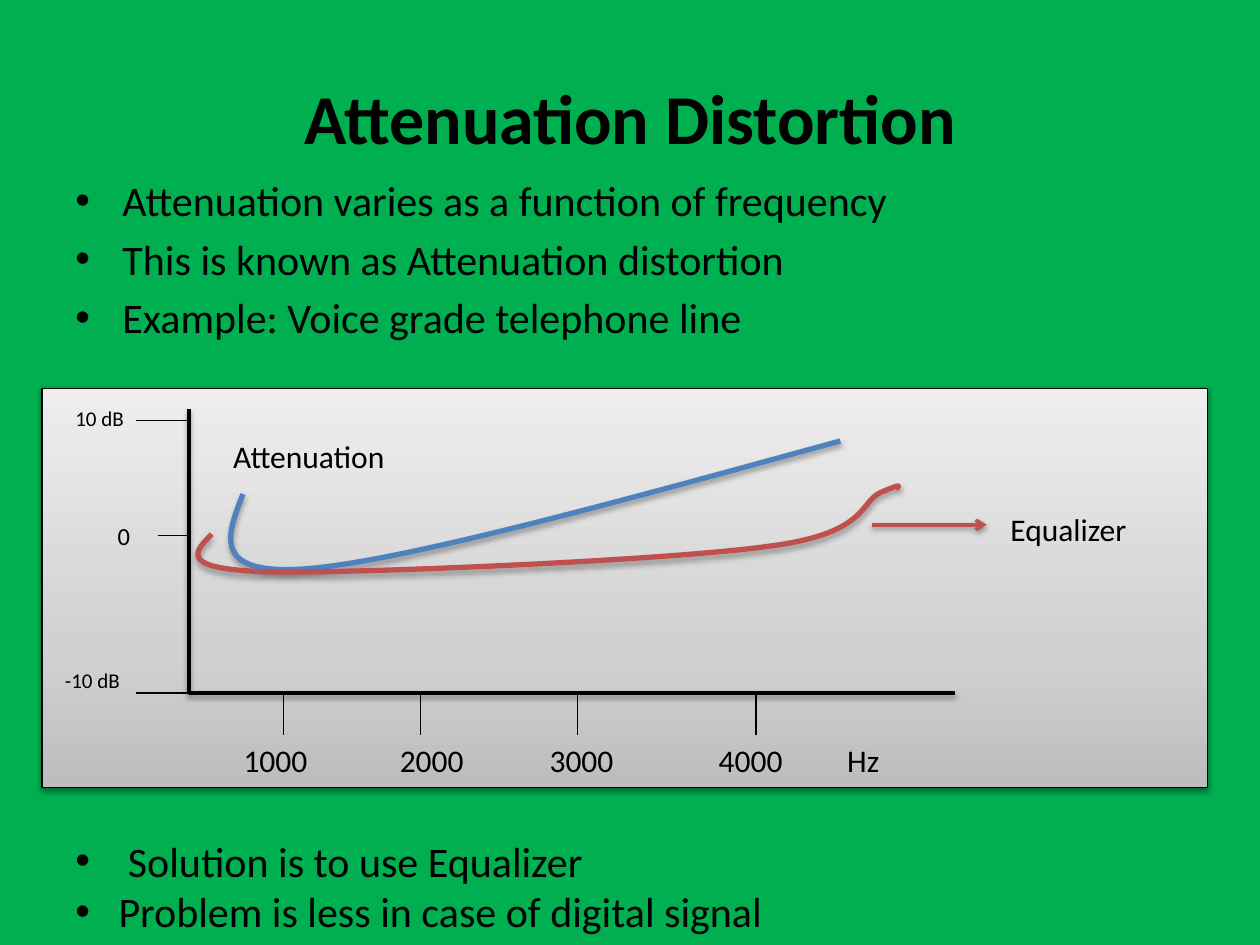
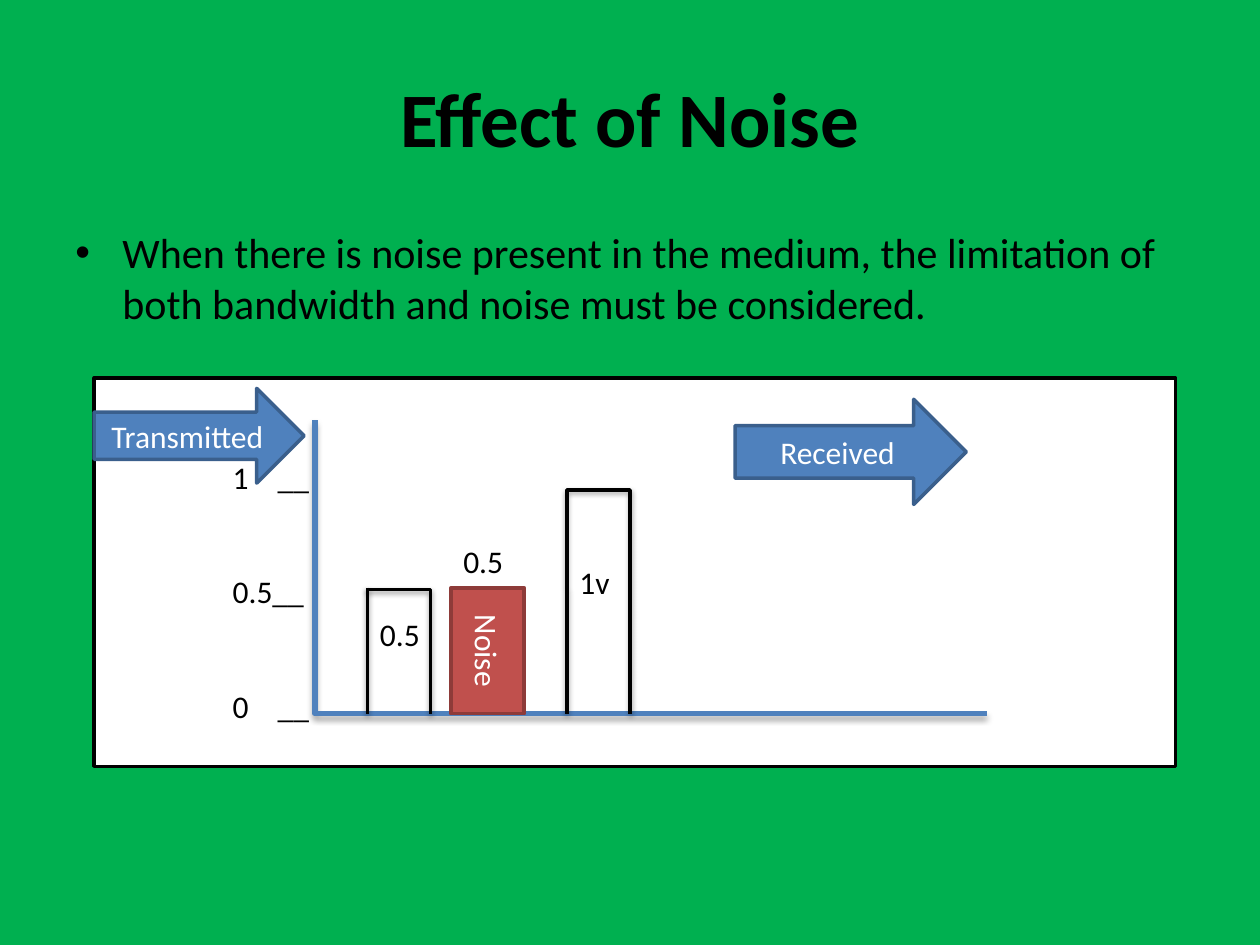
import pptx
import pptx.util
import pptx.dml.color
import pptx.enum.shapes
import pptx.enum.text
import pptx.oxml.ns
import lxml.etree

Cm, Pt = pptx.util.Cm, pptx.util.Pt
Kind = pptx.enum.shapes.MSO_SHAPE
Wire = pptx.enum.shapes.MSO_CONNECTOR
Anchor = pptx.enum.text.MSO_ANCHOR
Align = pptx.enum.text.PP_ALIGN
qn = pptx.oxml.ns.qn

FONT = "Calibri"
HUES = {
    "page": "00B050", "ink": "000000", "paper": "FFFFFF",
    "blue": "4F81BD", "navy": "3A5F8C", "red": "C0504D", "brick": "8E3B39",
    "dark": "BDBDBD", "mid": "D1D1D1", "light": "EEEEEE",
}


def rgb(hue):
    """Return the named colour."""
    return pptx.dml.color.RGBColor.from_string(HUES[hue])


def node(base, tag, **attrs):
    """Append a drawing element with the given attributes."""
    item = lxml.etree.SubElement(base, qn("a:" + tag))
    for key, value in attrs.items():
        item.set(key, str(value))
    return item


def effect(item, alpha=0, dist=0):
    """Replace the theme shadow with none, or with a soft one below."""
    props = item._element.spPr
    group = node(props, "effectLst")
    if alpha:
        shade = node(group, "outerShdw", blurRad=40000, dist=dist,
                     dir=5400000, rotWithShape=0)
        node(node(shade, "srgbClr", val=HUES["ink"]), "alpha", val=alpha * 1000)


def soft(item, width):
    """Give the shadow that goes with a line of this width."""
    effect(item, *((35, 23000) if width == 3 else (38, 20000)))


def stroke(item, hue, width):
    """Set line colour and width."""
    item.line.color.rgb = rgb(hue)
    item.line.width = Pt(width)


def write(para, text, size, hue="ink", bold=False):
    """Add one run to a paragraph."""
    run = para.add_run()
    run.text = text
    run.font.name = FONT
    run.font.size = Pt(size)
    run.font.bold = bold
    run.font.color.rgb = rgb(hue)


def tabs(para, stops):
    """Set left tab stops in centimetres."""
    group = node(para._p.get_or_add_pPr(), "tabLst")
    for stop in stops:
        node(group, "tab", pos=int(Cm(stop)), algn="l")


def frame(slide, x, y, w, h):
    """Add an empty wrapping text box and return its text frame."""
    body = slide.shapes.add_textbox(Cm(x), Cm(y), Cm(w), Cm(h)).text_frame
    body.word_wrap = True
    return body


def label(slide, x, y, w, text, size=18):
    """Add a one-line label and return its paragraph."""
    para = frame(slide, x, y, w, 1.02 if size == 18 else 0.76).paragraphs[0]
    write(para, text, size)
    return para


def bullets(slide, box, lines, gap=0):
    """Add bulleted lines, each with its own hanging indent."""
    body = frame(slide, *box)
    for num, (indent, text) in enumerate(lines):
        para = body.add_paragraph() if num else body.paragraphs[0]
        para.space_before = Pt(gap)
        props = para._p.get_or_add_pPr()
        props.set("marL", str(int(Cm(indent))))
        props.set("indent", str(-int(Cm(indent))))
        node(props, "buFont", typeface="Arial")
        node(props, "buChar", char="\u2022")
        write(para, text, 24)


def block(slide, kind, box, fill, edge, width=2, text=None):
    """Add a preset shape, with centred white text if any."""
    item = slide.shapes.add_shape(kind, *map(Cm, box))
    if fill:
        item.fill.solid()
        item.fill.fore_color.rgb = rgb(fill)
    stroke(item, edge, width)
    if text:
        item.text_frame.word_wrap = True
        item.text_frame.vertical_anchor = Anchor.MIDDLE
        para = item.text_frame.paragraphs[0]
        para.alignment = Align.CENTER
        write(para, text, 18, "paper")
    return item


def rule(slide, x, y, end, low, hue="ink", width=0.75, tip=False):
    """Add a straight line; thick ones cast a shadow."""
    item = slide.shapes.add_connector(Wire.STRAIGHT, Cm(x), Cm(y), Cm(end), Cm(low))
    stroke(item, hue, width)
    if tip:
        node(item._element.spPr.find(qn("a:ln")), "tailEnd", type="arrow")
    if width > 1:
        soft(item, width)
    else:
        effect(item)


def elbow(slide, x, y, end, low, hue, width, bend=0, turn=False):
    """Add a bent line; a turned one leaves its start vertically."""
    if turn:
        mid, deep = (x + end) / 2, (y + low) / 2
        long, wide = (low - y) / 2, (end - x) / 2
        x, end, y, low = mid - long, mid + long, deep - wide, deep + wide
    item = slide.shapes.add_connector(Wire.ELBOW, Cm(x), Cm(y), Cm(end), Cm(low))
    props = item._element.spPr
    if turn:
        props.find(qn("a:xfrm")).set("rot", "16200000")
        props.find(qn("a:xfrm")).set("flipH", "1")
    shape = props.find(qn("a:prstGeom"))
    group = shape.find(qn("a:avLst"))
    if group is None:
        group = node(shape, "avLst")
    node(group, "gd", name="adj1", fmla=f"val {round(bend * 100000)}")
    stroke(item, hue, width)
    soft(item, width)


def curve(slide, left, top, points, hue):
    """Add a smooth open curve from a start and triples of control points."""
    spots = [(Cm(left + x), Cm(top + y)) for x, y in points]
    pen = slide.shapes.build_freeform(*spots[0])
    pen.add_line_segments(spots[1:], close=False)
    item = pen.convert_to_shape()
    track = item._element.find(".//" + qn("a:path"))
    steps = track.findall(qn("a:lnTo"))
    for first in range(0, len(steps), 3):
        bend = node(track, "cubicBezTo")
        for step in steps[first:first + 3]:
            bend.append(step[0])
            track.remove(step)
    item.fill.background()
    stroke(item, hue, 3)
    soft(item, 3)


def page(deck, title, size):
    """Add a green slide with its title."""
    slide = deck.slides.add_slide(deck.slide_layouts[6])
    slide.background.fill.solid()
    slide.background.fill.fore_color.rgb = rgb("page")
    body = frame(slide, 1.27, 0.76, 22.86, 3.18)
    body.vertical_anchor = Anchor.MIDDLE
    para = body.paragraphs[0]
    para.alignment = Align.CENTER
    write(para, title, size, bold=True)
    return slide


def panel(slide, box):
    """Add the grey gradient panel."""
    item = block(slide, Kind.RECTANGLE, box, None, "ink", 0.75)
    props = item._element.spPr
    grad = lxml.etree.Element(qn("a:gradFill"), rotWithShape="1")
    stops = node(grad, "gsLst")
    for place, hue in ((0, "dark"), (35, "mid"), (100, "light")):
        node(node(stops, "gs", pos=place * 1000), "srgbClr", val=HUES[hue])
    node(grad, "lin", ang=16200000, scaled=1)
    props.find(qn("a:ln")).addprevious(grad)
    soft(item, 0.75)


def response(slide, box):
    """Draw attenuation and equalizer curves against frequency."""
    left, top = box[:2]
    panel(slide, box)
    axis, base = left + 2.96, top + 6.14
    elbow(slide, axis, top + 0.42, left + 18.41, base, "ink", 2)
    for x, y in ((1.9, 0.64), (2.33, 2.97), (1.9, 6.14)):
        rule(slide, left + x, top + y, axis, top + y)
    for x, y, w, text, size in ((0.21, 5.51, 1.9, "-10 dB", 12),
                                (1.27, 2.54, 1.06, "0", 14),
                                (0.42, 0.22, 1.9, "10 dB", 12)):
        label(slide, left + x, top + y, w, text, size)
    for x in (4.87, 7.62, 10.79, 14.39):
        rule(slide, left + x, base, left + x, base + 0.84)
    marks = label(slide, left + 3.81, base + 0.84, 14.2, "1000\t2000\t3000\t4000\tHz")
    tabs(marks, (3.15, 6.17, 9.58, 12.17))
    curve(slide, left, top, [
        (4.05, 2.13), (3.72, 2.97), (3.39, 3.8), (5.4, 3.63),
        (7.41, 3.45), (11.75, 2.25), (16.09, 1.06)], "blue")
    curve(slide, left, top, [
        (3.42, 2.94), (3.06, 3.3), (2.73, 3.65), (4.59, 3.7),
        (6.44, 3.73), (12.54, 3.47), (14.59, 3.19),
        (16.65, 2.94), (16.47, 2.3), (16.9, 2.1),
        (17.36, 1.9), (17.29, 1.97), (17.21, 2.03)], "red")
    label(slide, left + 3.6, top + 0.86, 4.24, "Attenuation")
    rule(slide, left + 16.73, top + 2.75, left + 19.04, top + 2.75, "red", 2, True)
    label(slide, left + 19.27, top + 2.33, 3.38, "Equalizer")


def scale(slide, x, y):
    """Write the evenly spaced voltage marks."""
    body = frame(slide, x, y, 2.34, 5.64)
    for num, text in enumerate(("1\t__", "0.5__", "0\t__")):
        para = body.add_paragraph() if num else body.paragraphs[0]
        para.space_before = Pt(44 if num else 0)
        tabs(para, (0.91,))
        write(para, text, 18)


def levels(slide, box):
    """Draw the signal bars and the noise between them."""
    left, top = box[:2]
    effect(block(slide, Kind.RECTANGLE, box, "paper", "ink"))
    half, base = top + 4.23, top + 6.77
    elbow(slide, left + 4.45, top + 0.85, left + 17.99, base, "blue", 3)
    scale(slide, left + 2.54, top + 1.48)
    for x, bend in ((5.51, 0.015), (9.53, -0.777)):
        x += left
        elbow(slide, x, half, x + 1.27, base, "ink", 2, bend, True)
        rule(slide, x, half, x, base, width=2)
    noise = block(slide, Kind.RECTANGLE, (left + 7.19, half, 1.48, base - half),
                  "red", "brick", text="Noise")
    noise.text_frame._txBody.bodyPr.set("vert", "vert")
    effect(noise)
    for x, y, w, text in ((5.51, 4.65, 1.48, "0.5"), (9.53, 3.61, 1.27, "1v"),
                          (7.19, 3.18, 1.48, "0.5")):
        label(slide, left + x, top + y, w, text)
    for x, y, w, h, text in ((0, 0.21, 4.23, 1.91, "Transmitted"),
                             (12.92, 0.43, 4.66, 2.12, "Received")):
        effect(block(slide, Kind.RIGHT_ARROW, (left + x, top + y, w, h),
                     "blue", "navy", text=text))


def build():
    """Build both slides and save the deck."""
    deck = pptx.Presentation()
    deck.slide_width, deck.slide_height = Cm(25.4), Cm(19.05)
    slide = page(deck, "Attenuation Distortion", 40)
    bullets(slide, (1.27, 3.39, 22.86, 12.57), [
        (0.95, "Attenuation varies as a function of frequency"),
        (0.95, "This is known as Attenuation distortion"),
        (0.95, "Example: Voice grade telephone line")], 4.8)
    response(slide, (0.85, 7.83, 23.5, 8.04))
    bullets(slide, (1.27, 16.71, 19.48, 2.31), [
        (1.06, "Solution is to use Equalizer"),
        (0.87, "Problem is less in case of digital signal")])
    slide = page(deck, "Effect of Noise", 44)
    bullets(slide, (1.27, 4.45, 22.86, 12.57), [
        (0.95, "When there is noise present in the medium, the limitation of "
               "both bandwidth and noise must be considered.")], 4.8)
    levels(slide, (1.9, 7.62, 21.8, 7.83))
    deck.save("out.pptx")


build()
